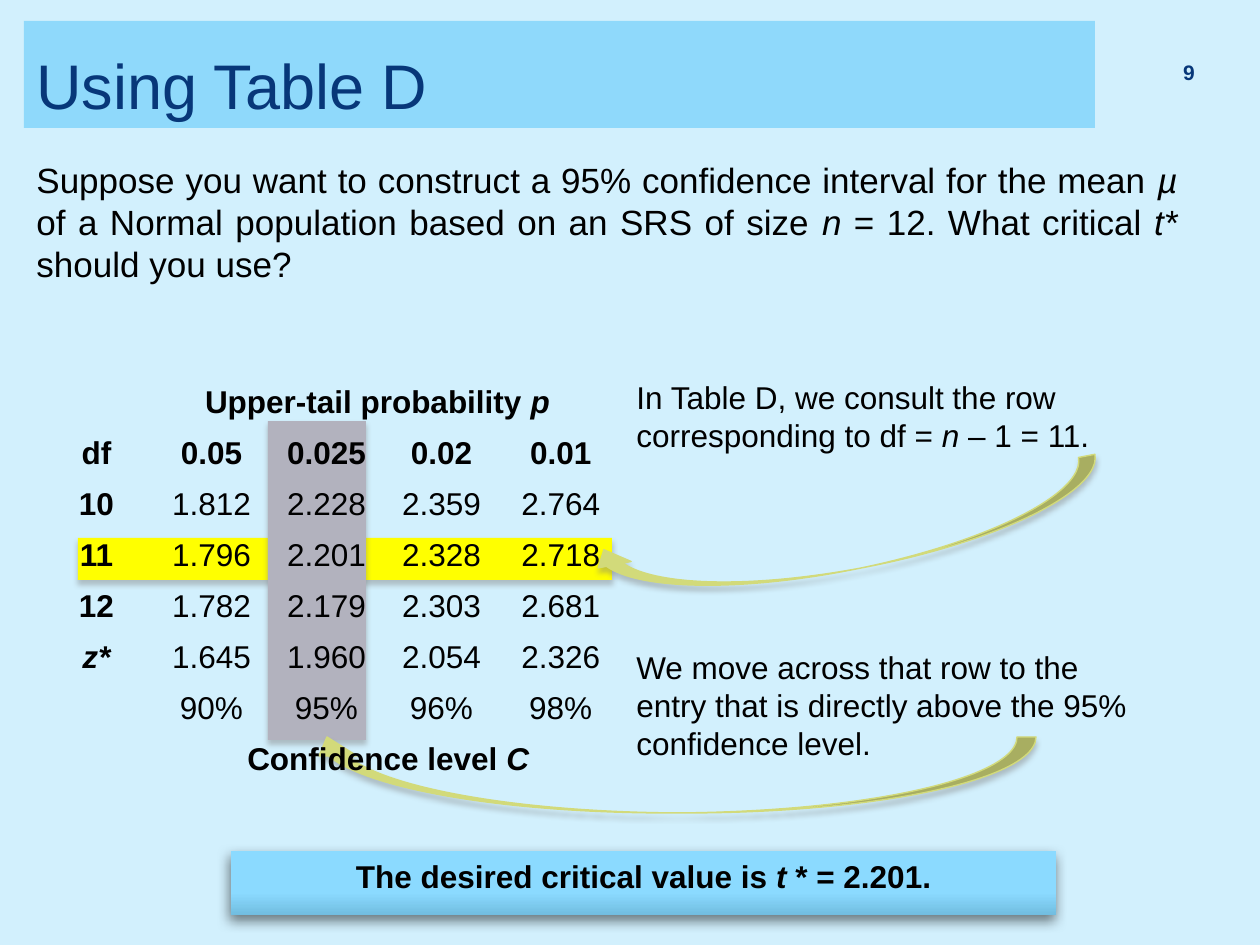
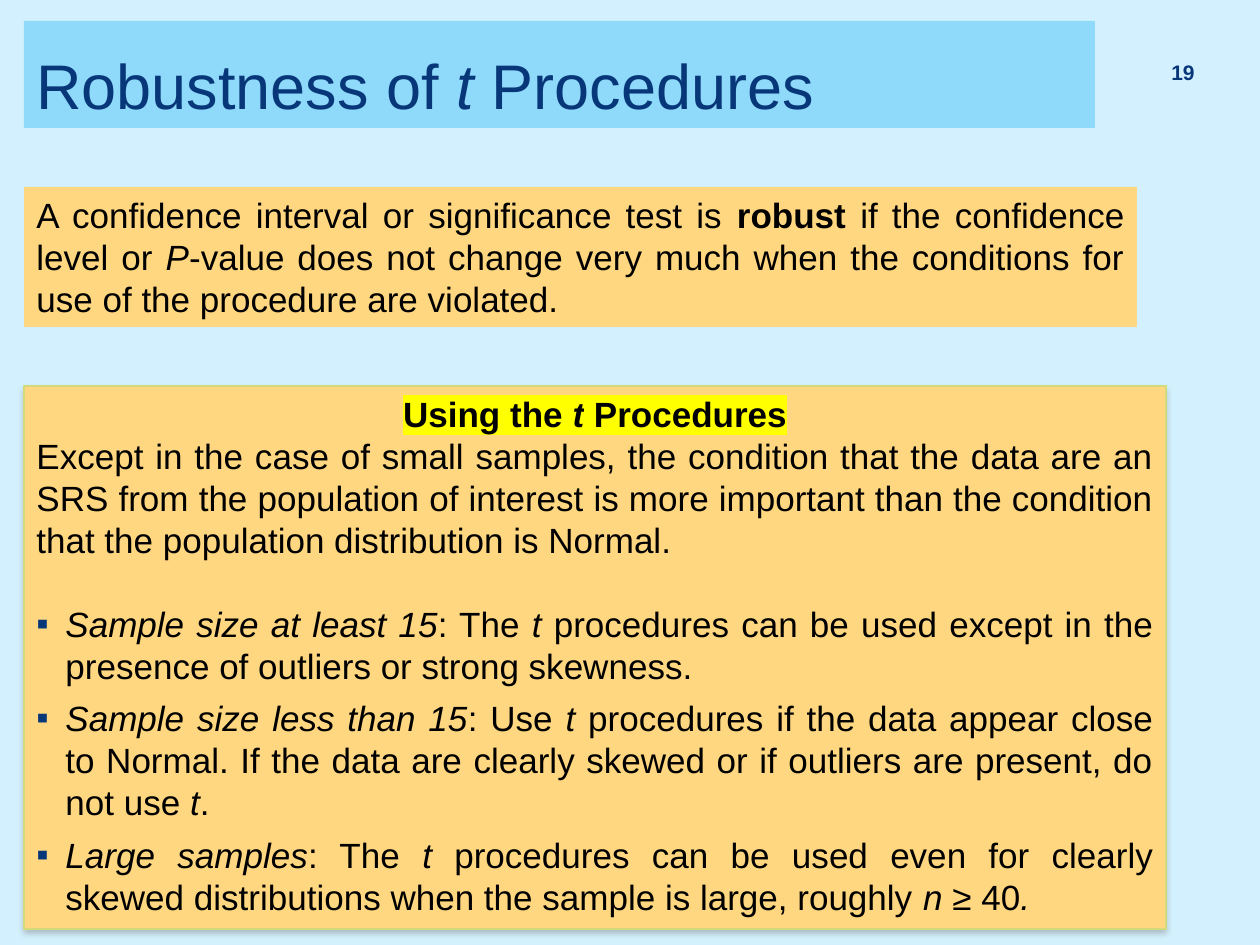
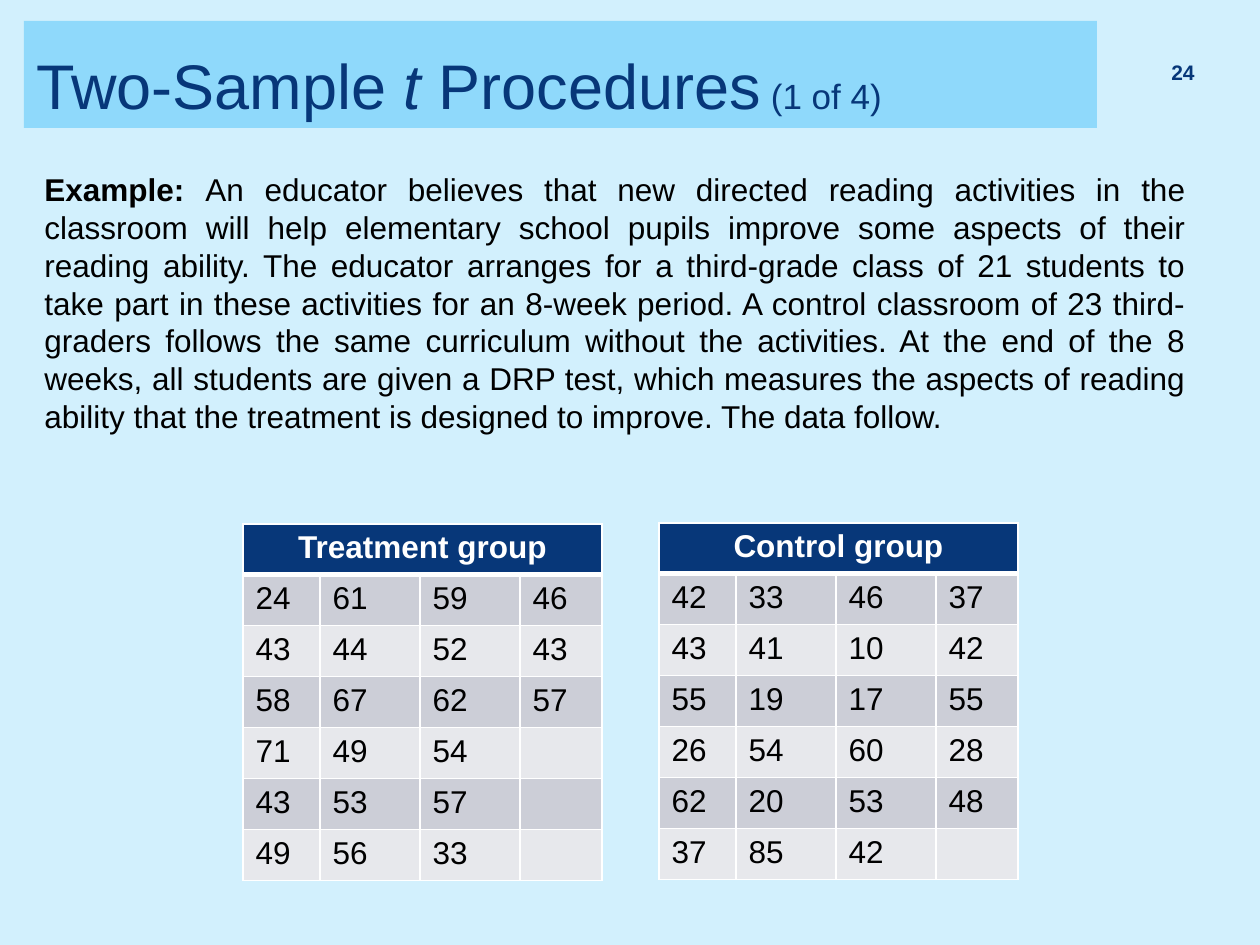
import pptx
import pptx.dml.color
import pptx.enum.shapes
import pptx.enum.text
import pptx.oxml.ns
import pptx.util
from lxml import etree

# Shared style
PX = 914400 / 126
FONT = "Arial"
NAVY, BLACK, WHITE, YELLOW = "073779", "000000", "FFFFFF", "FFFF00"
PALE_BLUE, BAND_BLUE, BOX_BLUE, BOX_BLUE_DARK = "D2F0FD", "8FD9FB", "8BDAFF", "71BDE0"
PEACH, OLIVE, GREY = "FFD780", "D2DA7A", "B2B2BE"
STRIPES = ("E7E8EC", "CCCED7")
SOFT_SHADOW = ("808080", 45, 3, 2.4, 90)
DEEP_SHADOW = ("000000", 50, 7, 3, 110)
NO_STYLE = "{2D5ABB26-0587-4C30-8999-92F81FD0307C}"
ALIGN = pptx.enum.text.PP_ALIGN
ANCHOR = pptx.enum.text.MSO_ANCHOR
SHAPE = pptx.enum.shapes.MSO_SHAPE


def px(length):
    return pptx.util.Emu(round(length * PX))


def rgb(hex_color):
    return pptx.dml.color.RGBColor.from_string(hex_color)


def sub(parent, tag, **attributes):
    return etree.SubElement(parent, pptx.oxml.ns.qn(tag), {k: str(v) for k, v in attributes.items()})


class Deck:
    def __init__(self):
        self.prs = pptx.Presentation()
        self.prs.slide_width, self.prs.slide_height = px(1260), px(945)
        background = self.prs.slide_master.background.fill
        background.solid()
        background.fore_color.rgb = rgb(PALE_BLUE)
        self.slide = None

    def new_slide(self, title, number, band_width=1071):
        self.slide = self.prs.slides.add_slide(self.prs.slide_layouts[6])
        band = self.shape((24, 21, band_width, 107), BAND_BLUE)
        self.fill_frame(band.text_frame, [title], 36, NAVY, anchor=ANCHOR.BOTTOM)
        page = self.text((1138, 49, 69, 50), [[(number, "b")]], 12, NAVY, ALIGN.RIGHT, ANCHOR.MIDDLE)
        page.text_frame.paragraphs[0].line_spacing = 0.8

    def runs(self, paragraph, pieces, size, color, align):
        """A piece is plain text or (text, marks[, size]); marks: b bold, i italic, h highlight."""
        paragraph.alignment = align
        for piece in pieces:
            if isinstance(piece, str):
                piece = (piece, "")
            words, marks, own_size = (*piece, size)[:3]
            run = paragraph.add_run()
            run.text = words
            font = run.font
            font.name, font.size = FONT, pptx.util.Pt(own_size)
            font.bold, font.italic = "b" in marks, "i" in marks
            font.color.rgb = rgb(color)
            if "h" in marks:
                highlight = etree.Element(pptx.oxml.ns.qn("a:highlight"))
                sub(highlight, "a:srgbClr", val=YELLOW)
                run._r.rPr.find(pptx.oxml.ns.qn("a:solidFill")).addnext(highlight)

    def fill_frame(self, frame, paragraphs, size, color=BLACK, align=ALIGN.LEFT, anchor=ANCHOR.TOP):
        frame.word_wrap, frame.vertical_anchor = True, anchor
        for index, pieces in enumerate(paragraphs):
            paragraph = frame.add_paragraph() if index else frame.paragraphs[0]
            self.runs(paragraph, pieces, size, color, align)

    def text(self, box, paragraphs, size, color=BLACK, align=ALIGN.LEFT, anchor=ANCHOR.TOP):
        note = self.slide.shapes.add_textbox(*map(px, box))
        self.fill_frame(note.text_frame, paragraphs, size, color, align, anchor)
        return note

    def shape(self, box, fill, kind=SHAPE.RECTANGLE, line=None, shadow=None, rotation=0):
        shape = self.slide.shapes.add_shape(kind, *map(px, box))
        shape.rotation = rotation
        shape.fill.solid()
        shape.fill.fore_color.rgb = rgb(fill)
        if line:
            shape.line.color.rgb = rgb(line)
            shape.line.width = pptx.util.Pt(0.79)
        else:
            shape.line.fill.background()
        shape.shadow.inherit = False
        if shadow:
            color, alpha, blur, distance, angle = shadow
            effects = shape._element.spPr.find(pptx.oxml.ns.qn("a:effectLst"))
            outer = sub(effects, "a:outerShdw", blurRad=pptx.util.Pt(blur), dist=pptx.util.Pt(distance),
                        dir=angle * 60000, rotWithShape=0)
            sub(sub(outer, "a:srgbClr", val=color), "a:alpha", val=alpha * 1000)
        return shape

    def curved_arrow(self, box, rotation):
        self.shape(box, OLIVE, SHAPE.CURVED_LEFT_ARROW, OLIVE, SOFT_SHADOW, rotation)

    def bullet(self, paragraph, hang=29):
        properties = paragraph._p.get_or_add_pPr()
        properties.set("marL", str(px(hang)))
        properties.set("indent", str(px(-hang)))
        sub(sub(properties, "a:buClr"), "a:srgbClr", val=NAVY)
        sub(properties, "a:buFont", typeface=FONT)
        sub(properties, "a:buChar", char="▪")
        paragraph.space_after = pptx.util.Pt(6)

    def table(self, left, top, widths, heights):
        frame = self.slide.shapes.add_table(len(heights), len(widths), px(left), px(top),
                                            px(sum(widths)), px(sum(heights)))
        table = frame.table
        table.first_row = table.horz_banding = False
        table._tbl.tblPr.find(pptx.oxml.ns.qn("a:tableStyleId")).text = NO_STYLE
        for column, width in zip(table.columns, widths):
            column.width = px(width)
        for row, height in zip(table.rows, heights):
            row.height = px(height)
        return table

    def cell(self, cell, pieces, color=BLACK, align=ALIGN.CENTER, fill=None, borders=()):
        if pieces:
            self.runs(cell.text_frame.paragraphs[0], pieces, 18, color, align)
        if fill:
            cell.fill.solid()
            cell.fill.fore_color.rgb = rgb(fill)
        else:
            cell.fill.background()
        properties = cell._tc.get_or_add_tcPr()
        for index, (side, width) in enumerate(zip("LRTB", borders)):
            edge = etree.Element(pptx.oxml.ns.qn("a:ln" + side), w=str(pptx.util.Pt(width)))
            sub(sub(edge, "a:solidFill"), "a:srgbClr", val=WHITE)
            properties.insert(index, edge)

    def score_table(self, left, top, group, scores):
        table = self.table(left, top, (77, 100, 100, 82), [49] + [51] * len(scores))
        table.cell(0, 0).merge(table.cell(0, 3))
        for column in range(4):
            heading = [] if column else [(group, "b")]
            self.cell(table.cell(0, column), heading, WHITE, fill=NAVY, borders=(1, 1, 1, 3))
        for r, row in enumerate(scores, 1):
            for c, score in enumerate(row.split(",")):
                self.cell(table.cell(r, c), [score] if score else [], align=ALIGN.LEFT,
                          fill=STRIPES[r % 2], borders=(1, 1, 3 if r == 1 else 1, 1))


def critical_value_slide(deck):
    deck.new_slide(["Using Table D"], "9")
    deck.text((24, 152, 1166, 142), [[
        "Suppose you want to construct a 95% confidence interval for the mean ", ("µ", "i"),
        " of a Normal population based on an SRS of size ", ("n", "i"),
        " = 12. What critical ", ("t*", "i"), " should you use?"]], 20, align=ALIGN.JUSTIFY)

    # Row and column highlights with their explanations
    deck.text((624, 372, 528, 89), [[
        "In Table D, we consult the row corresponding to df = ", ("n", "i"), " – 1 = 11."]], 18)
    deck.shape((78, 538, 534, 42), YELLOW, shadow=SOFT_SHADOW)
    deck.curved_arrow((814, 278, 67, 517), 79)
    deck.text((624, 642, 528, 127), [[
        "We move across that row to the entry that is directly above the 95% confidence level."]], 18)
    deck.shape((268, 421, 98, 319), GREY, shadow=SOFT_SHADOW)
    deck.curved_arrow((634, 411, 76, 728), 90)

    # Critical values
    rows = [
        [("df", "b"), ("0.05", "b"), ("0.025", "b"), ("0.02", "b"), ("0.01", "b")],
        [("10", "b"), "1.812", "2.228", "2.359", "2.764"],
        [("11", "b"), "1.796", "2.201", "2.328", "2.718"],
        [("12", "b"), "1.782", "2.179", "2.303", "2.681"],
        [("z*", "bi"), "1.645", "1.960", "2.054", "2.326"],
        [None, "90%", "95%", "96%", "98%"],
    ]
    values = deck.table(39, 379, [115] * 5, [51] * 8)
    values.cell(0, 0).merge(values.cell(0, 4))
    values.cell(7, 1).merge(values.cell(7, 4))
    captions = {(0, 0): [("Upper-tail probability ", "b"), ("p", "bi")],
                (7, 1): [("Confidence level ", "b"), ("C", "bi")]}
    for r in range(8):
        for c in range(5):
            if r in (0, 7):
                pieces = captions.get((r, c), [])
            else:
                pieces = [rows[r - 1][c]] if rows[r - 1][c] else []
            deck.cell(values.cell(r, c), pieces)
    values.cell(0, 0).margin_left = px(106)

    # Answer
    answer = deck.shape((231, 851, 825, 64), BOX_BLUE, shadow=DEEP_SHADOW)
    answer.fill.gradient()
    answer.fill.gradient_angle = 90
    for stop, color, position in zip(answer.fill.gradient_stops, (BOX_BLUE_DARK, BOX_BLUE), (0, 0.35)):
        stop.color.rgb = rgb(color)
        stop.position = position
    deck.fill_frame(answer.text_frame, [[
        ("The desired critical value is ", "b"), ("t ", "bi"), ("* = 2.201.", "b")]], 18, align=ALIGN.CENTER)


def robustness_slide(deck):
    deck.new_slide(["Robustness of ", ("t", "i"), " Procedures"], "19")
    definition = deck.shape((24, 187, 1113, 140), PEACH)
    deck.fill_frame(definition.text_frame, [[
        "A confidence interval or significance test is ", ("robust ", "b"),
        "if the confidence level or ", ("P", "i"),
        "-value does not change very much when the conditions for use of the procedure are violated.",
    ]], 20, align=ALIGN.JUSTIFY)

    # Guidelines
    guidelines = deck.shape((24, 386, 1142, 543), PEACH, line=OLIVE, shadow=SOFT_SHADOW)
    deck.fill_frame(guidelines.text_frame, [
        [("Using the ", "bh"), ("t", "bih"), (" Procedures", "bh")],
        ["Except in the case of small samples, the condition that the data are an SRS from the population "
         "of interest is more important than the condition that the population distribution is Normal."],
        [("Sample size at least 15", "i"), ": The ", ("t", "i"),
         " procedures can be used except in the presence of outliers or strong skewness."],
        [("Sample size less than 15", "i"), ": Use ", ("t", "i"),
         " procedures if the data appear close to Normal. If the data are clearly skewed or if outliers "
         "are present, do not use ", ("t", "i"), "."],
        [("Large samples", "i"), ": The ", ("t", "i"),
         " procedures can be used even for clearly skewed distributions when the sample is large, roughly ",
         ("n ≥ ", "i"), "40", (".", "i")],
    ], 20, align=ALIGN.JUSTIFY)
    heading, condition, *sample_sizes = guidelines.text_frame.paragraphs
    heading.alignment = ALIGN.CENTER
    condition.space_after = pptx.util.Pt(24)
    for sample_size in sample_sizes:
        deck.bullet(sample_size)


def two_sample_slide(deck):
    deck.new_slide(["Two-Sample ", ("t", "i"), " Procedures", (" (1 of 4)", "", 20)], "24", 1073)
    deck.text((32, 164, 1166, 290), [[
        ("Example: ", "b"),
        "An educator believes that new directed reading activities in the classroom will help elementary "
        "school pupils improve some aspects of their reading ability. The educator arranges for a "
        "third-grade class of 21 students to take part in these activities for an 8-week period. A control "
        "classroom of 23 third-graders follows the same curriculum without the activities. At the end of "
        "the 8 weeks, all students are given a DRP test, which measures the aspects of reading ability "
        "that the treatment is designed to improve. The data follow."]], 18, align=ALIGN.JUSTIFY)
    deck.score_table(243, 524, "Treatment group", [
        "24,61,59,46", "43,44,52,43", "58,67,62,57", "71,49,54,", "43,53,57,", "49,56,33,"])
    deck.score_table(659, 523, "Control group", [
        "42,33,46,37", "43,41,10,42", "55,19,17,55", "26,54,60,28", "62,20,53,48", "37,85,42,"])


def main():
    deck = Deck()
    critical_value_slide(deck)
    robustness_slide(deck)
    two_sample_slide(deck)
    deck.prs.save("out.pptx")


if __name__ == "__main__":
    main()
